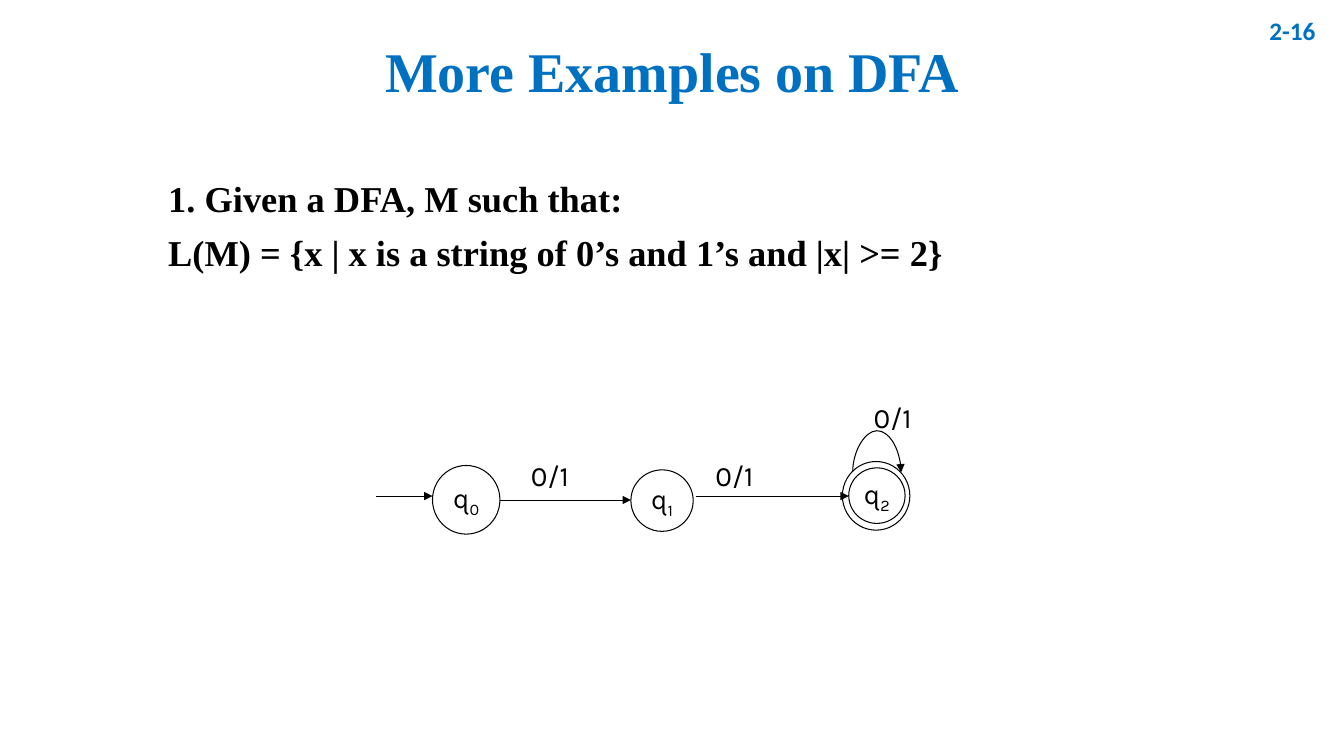
from dataclasses import dataclass

from lxml.etree import SubElement
from pptx import Presentation
from pptx.dml.color import RGBColor
from pptx.enum.shapes import MSO_CONNECTOR as LINK, MSO_SHAPE as SHAPE
from pptx.enum.text import MSO_ANCHOR as ANCHOR, PP_ALIGN as ALIGN
from pptx.oxml.ns import qn
from pptx.util import Cm, Pt

BLUE, BLACK = "0070C0", "000000"
SERIF = "Times New Roman"
LABEL_FORMAT = {"name": "Karla", "size": Pt(20)}


@dataclass
class Box:
    lines: list[str]
    left: float
    top: float
    width: float
    height: float
    font: dict
    color: str = BLACK
    align: ALIGN = ALIGN.LEFT
    anchor: ANCHOR = ANCHOR.TOP
    wrap: bool = True
    spacing: float = 1.0
    before: float = 0


@dataclass
class State:
    index: str  # empty for the outer ring of the accepting state
    left: float
    top: float
    width: float
    height: float


@dataclass
class Arrow:
    start: float
    end: float
    y: float


BOXES = [
    Box(["2-16"], 31.14, 0, 2.26, 1.52,
        {"name": "Calibri", "size": Pt(18), "bold": True},
        BLUE, ALIGN.RIGHT, ANCHOR.MIDDLE),
    Box(["More Examples on DFA"], 3.99, 0.79, 25.91, 2.16,
        {"name": SERIF, "size": Pt(40), "bold": True},
        BLUE, ALIGN.CENTER, ANCHOR.MIDDLE, spacing=0.9),
    Box(["1. Given a DFA, M such that:",
         "L(M) = {x | x is a string of 0’s and 1’s and |x| >= 2}"],
        3.99, 4.45, 25.91, 4.45,
        {"name": SERIF, "size": Pt(26), "bold": True},
        align=ALIGN.JUSTIFY, spacing=0.9, before=10),
    Box(["0/1"], 13.13, 11.43, 1.85, 1.12, LABEL_FORMAT),
    Box(["0/1"], 21.77, 9.96, 1.55, 1.12, LABEL_FORMAT, wrap=False),
    Box(["0/1"], 17.78, 11.43, 2.08, 1.12, LABEL_FORMAT),
]
STATES = [
    State("0", 10.9, 11.73, 1.7, 1.73),
    State("1", 15.9, 11.84, 1.57, 1.55),
    State("2", 21.39, 11.79, 1.42, 1.4),
    State("", 21.23, 11.63, 1.7, 1.73),
]
ARROWS = [Arrow(9.47, 10.9, 12.5), Arrow(12.6, 15.9, 12.6), Arrow(17.53, 21.39, 12.5)]


def rgb(color: str) -> RGBColor:
    return RGBColor.from_string(color)


def add_run(p, text: str, font: dict, color: str):
    r = p.add_run()
    r.text = text
    for name, value in font.items():
        setattr(r.font, name, value)
    r.font.color.rgb = rgb(color)
    return r


def draw_box(s, box: Box) -> None:
    sp = s.shapes.add_textbox(Cm(box.left), Cm(box.top), Cm(box.width), Cm(box.height))
    tf = sp.text_frame
    tf.word_wrap = box.wrap
    tf.vertical_anchor = box.anchor
    for i, line in enumerate(box.lines):
        p = tf.add_paragraph() if i else tf.paragraphs[0]
        p.alignment = box.align
        p.line_spacing = box.spacing
        p.space_before = Pt(box.before if i else 0)
        add_run(p, line, box.font, box.color)


def set_outline(sp) -> None:
    sp.line.color.rgb = rgb(BLACK)
    sp.line.width = Pt(0.75)


def draw_state(s, state: State) -> None:
    sp = s.shapes.add_shape(SHAPE.OVAL, Cm(state.left), Cm(state.top),
                            Cm(state.width), Cm(state.height))
    sp.shadow.inherit = False
    sp.fill.background()
    set_outline(sp)
    if not state.index:
        return
    tf = sp.text_frame
    tf.word_wrap = False
    tf.vertical_anchor = ANCHOR.MIDDLE
    p = tf.paragraphs[0]
    p.alignment = ALIGN.CENTER
    add_run(p, "q", LABEL_FORMAT, BLACK)
    r = add_run(p, state.index, LABEL_FORMAT, BLACK)
    r._r.get_or_add_rPr().set("baseline", "-24000")


def add_arrow(s, kind: LINK, x1: float, y1: float, x2: float, y2: float):
    cxn = s.shapes.add_connector(kind, Cm(x1), Cm(y1), Cm(x2), Cm(y2))
    set_outline(cxn)
    SubElement(cxn.line._get_or_add_ln(), qn("a:tailEnd"), type="triangle")
    SubElement(cxn._element.spPr, qn("a:effectLst"))
    return cxn


def draw_loop(s, x: float, y: float, span: float, rise: float) -> None:
    """Arc over a state: a thin curved connector turned upright, centred on x, y."""
    depth = 0.01
    left, top = x - depth / 2, y - span / 2
    cxn = add_arrow(s, LINK.CURVE, left, top, left + depth, top + span)
    spPr = cxn._element.spPr
    xfrm = spPr.find(qn("a:xfrm"))
    xfrm.set("rot", str(270 * 60000))
    xfrm.set("flipH", "1")
    geom = spPr.find(qn("a:prstGeom"))
    guides = geom.find(qn("a:avLst"))
    if guides is None:
        guides = SubElement(geom, qn("a:avLst"))
    bend = round(-rise / depth * 100000)
    SubElement(guides, qn("a:gd"), name="adj1", fmla=f"val {bend}")


def main() -> None:
    prs = Presentation()
    prs.slide_width, prs.slide_height = Cm(33.87), Cm(19.05)
    s = prs.slides.add_slide(prs.slide_layouts[6])
    for state in STATES:
        draw_state(s, state)
    for arrow in ARROWS:
        add_arrow(s, LINK.STRAIGHT, arrow.start, arrow.y, arrow.end, arrow.y)
    draw_loop(s, x=22.1, y=11.9, span=1.22, rise=1.04)
    for box in BOXES:
        draw_box(s, box)
    prs.save("out.pptx")


if __name__ == "__main__":
    main()
